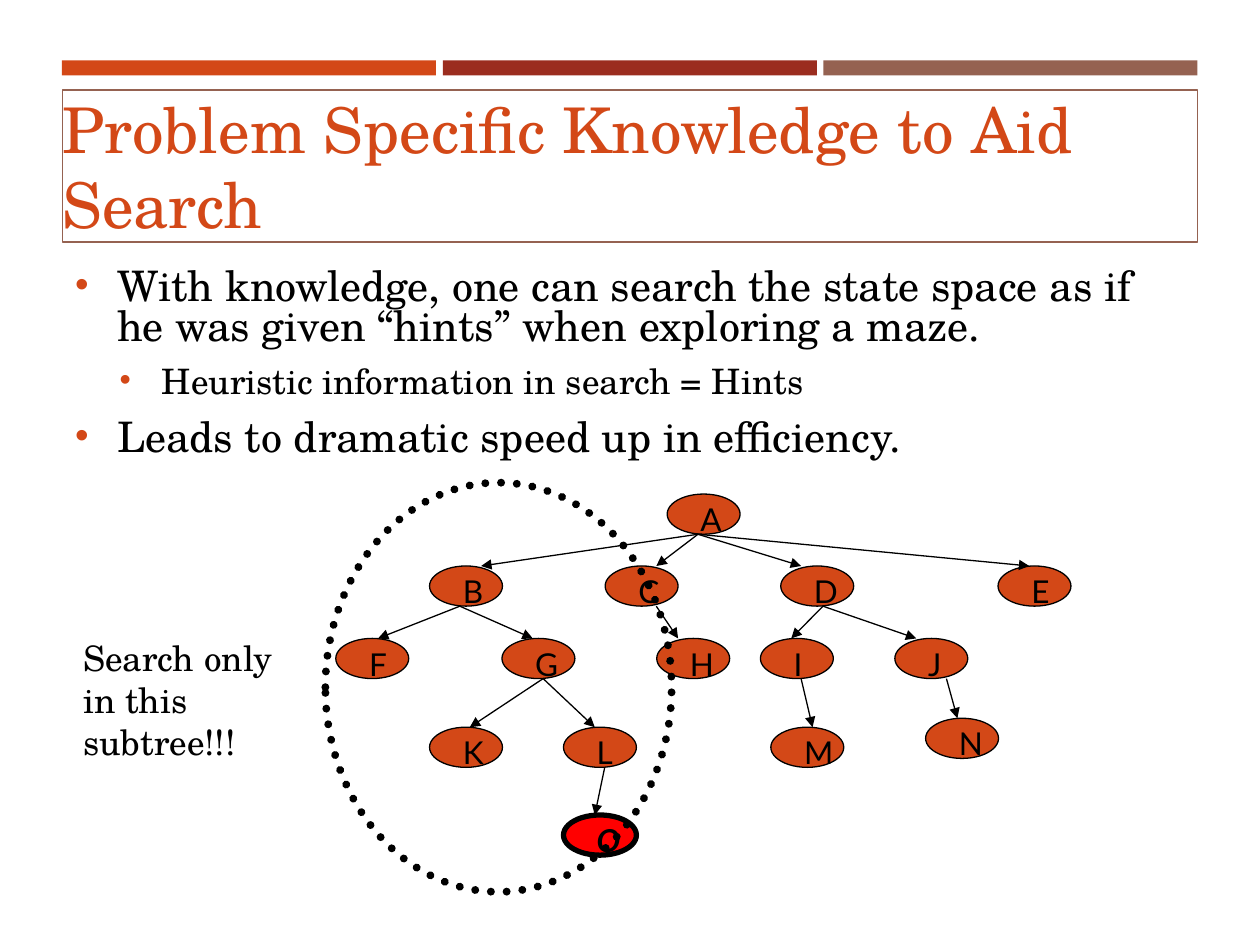
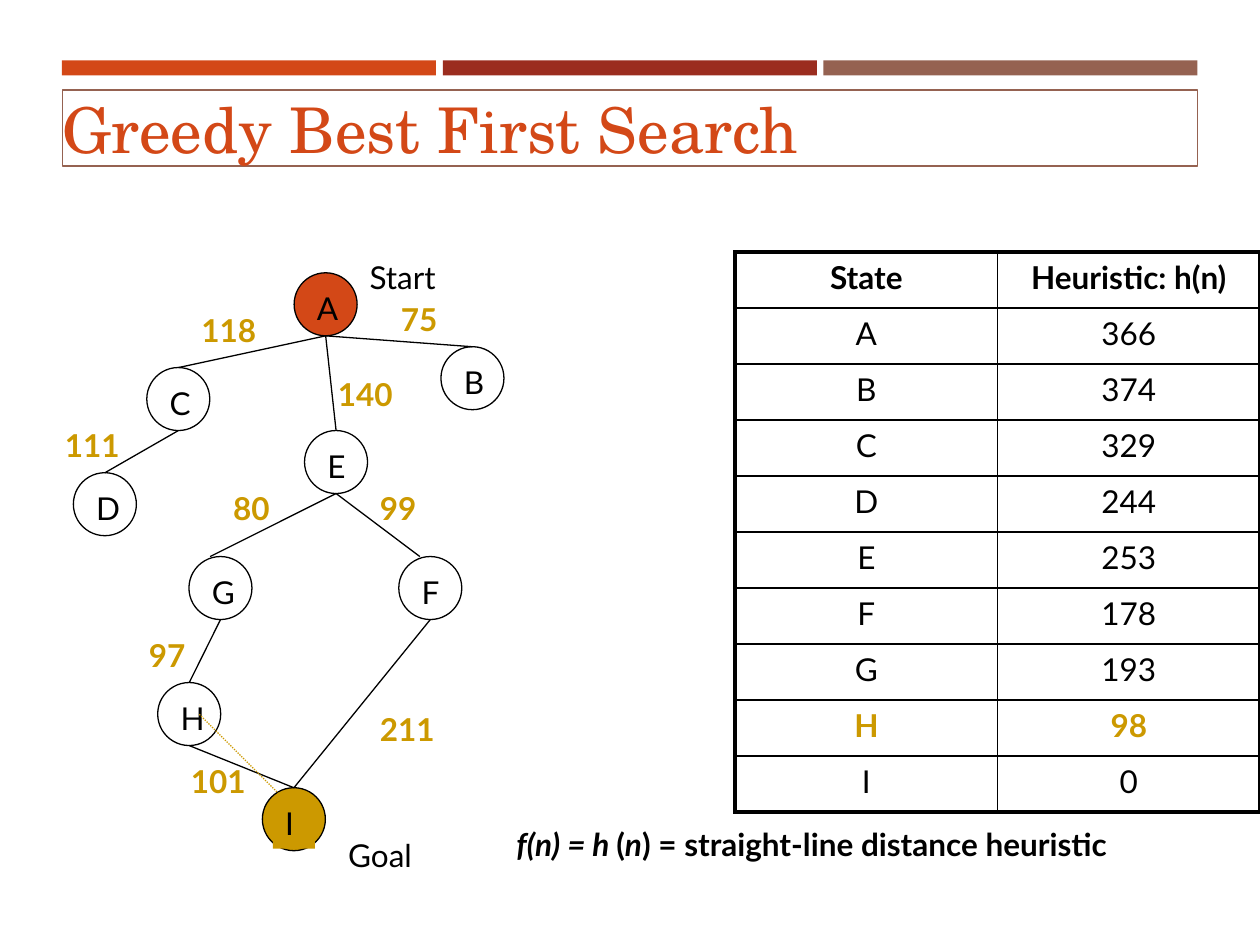
from dataclasses import dataclass

from lxml.etree import SubElement
from pptx import Presentation
from pptx.dml.color import RGBColor
from pptx.enum.dml import MSO_LINE
from pptx.enum.shapes import MSO_CONNECTOR, MSO_SHAPE as Preset
from pptx.enum.text import MSO_ANCHOR as Anchor, MSO_AUTO_SIZE as AutoSize, PP_ALIGN as Align
from pptx.oxml.ns import qn
from pptx.util import Cm, Pt


@dataclass(frozen=True)
class Theme:
    orange: str = "D34817"
    brick: str = "9B2D1F"
    brown: str = "956251"
    gold: str = "CC9900"
    red: str = "FF0000"
    black: str = "000000"
    serif: str = "TeX Gyre Schola"
    sans: str = "Lato"
    title: int = 36
    body: int = 24
    detail: int = 20
    label: int = 18
    thin: float = 0.75
    frame: float = 1
    heavy: float = 2.25
    goal: float = 3
    dots: float = 4.5


THEME = Theme()

# Content: all positions are in centimetres
BANDS = [(1.25, THEME.orange), (8.93, THEME.brick), (16.6, THEME.brown)]

HINTS_TITLE = "Problem Specific Knowledge to Aid Search"
HINTS = [
    (0, "With knowledge, one can search the state space as if he was given “hints” "
        "when exploring a maze."),
    (1, "Heuristic information in search = Hints"),
    (0, "Leads to dramatic speed up in efficiency."),
]
TREE_LEVELS = [  # top of the level, then the left edge of each node
    (9.96, {"A": 13.45}),
    (11.41, {"B": 8.66, "C": 12.2, "D": 15.74, "E": 20.12}),
    (12.87, {"F": 6.77, "G": 10.12, "H": 13.24, "I": 15.33, "J": 18.04}),
    (14.48, {"N": 18.66}),
    (14.66, {"K": 8.66, "L": 11.36, "M": 15.54}),
    (16.43, {"O": 11.36}),
]
TREE_ARROWS = [  # parent, x where its arrows start, x where each one ends
    ("A", 14.07, {"B": 9.7, "C": 13.23, "D": 16.15, "E": 20.75}),
    ("B", 9.27, {"F": 7.62, "G": 10.74}),
    ("C", 13.23, {"H": 13.67}),
    ("D", 16.59, {"I": 15.95, "J": 18.47}),
    ("G", 10.95, {"K": 9.47, "L": 11.99}),
    ("I", 16.15, {"M": 16.38}),
    ("J", 19.08, {"N": 19.3}),
    ("L", 12.19, {"O": 11.99}),
]
SUBTREE_NOTE = "Search only in this subtree!!!"

GREEDY_TITLE = "Greedy Best First Search"
CITIES = {
    "A": (5.93, 5.5), "B": (8.89, 6.99), "C": (2.96, 7.41),
    "D": (1.48, 9.53), "E": (6.14, 8.68), "F": (8.04, 11.22),
    "G": (3.81, 11.22), "H": (3.18, 13.76), "I": (5.29, 15.88),
}
CITY_FILLS = {"A": THEME.orange, "I": THEME.gold}
ROADS = [  # from, to, shift of the end from the top centre
    ("A", "B", 0), ("A", "C", 0), ("A", "E", 0), ("C", "D", 0),
    ("E", "F", -0.21), ("E", "G", -0.21), ("G", "H", 0), ("F", "I", 0), ("H", "I", 0),
]
COSTS = [
    ("75", 7.83, 5.93), ("118", 3.81, 6.14), ("140", 6.56, 7.44),
    ("111", 1.06, 8.47), ("80", 4.45, 9.74), ("99", 7.41, 9.74),
    ("97", 2.75, 12.7), ("211", 7.41, 14.18), ("101", 3.6, 15.24),
]
ENDS = [("Start", 7.2, 5.08), ("Goal", 6.77, 16.72)]
FORMULA = [("f(n) = h ", True), ("(", False), ("n", True),
           (") = straight-line distance heuristic", False)]
HEURISTIC = [
    ("State", "Heuristic: h(n)"),
    ("A", "366"), ("B", "374"), ("C", "329"), ("D", "244"), ("E", "253"),
    ("F", "178"), ("G", "193"), ("H", "98"), ("I", "0"),
]


# Helpers
def rgb(color):
    return RGBColor.from_string(color)


def style(font, size, face=THEME.sans, color=THEME.black, bold=False, italic=False):
    font.name, font.size, font.bold, font.italic = face, Pt(size), bold, italic
    font.color.rgb = rgb(color)


def place(shape, left, top, width, height):
    shape.left, shape.top, shape.width, shape.height = map(Cm, (left, top, width, height))


def add_preset(page, preset, area, fill=None, line=None, weight=THEME.thin):
    shape = page.shapes.add_shape(preset, *map(Cm, area))
    shape.shadow.inherit = False
    if fill:
        shape.fill.solid()
        shape.fill.fore_color.rgb = rgb(fill)
    else:
        shape.fill.background()
    if line:
        shape.line.color.rgb = rgb(line)
        shape.line.width = Pt(weight)
    else:
        shape.line.fill.background()
    return shape


def add_label(page, text, area, size=THEME.label, fill=None, **look):
    box = page.shapes.add_textbox(*map(Cm, area))
    box.text_frame.word_wrap = True
    if fill:
        box.fill.solid()
        box.fill.fore_color.rgb = rgb(fill)
    para = box.text_frame.paragraphs[0]
    para.text = text
    style(para.font, size, **look)
    return para


def add_link(page, start, end, color=THEME.black, arrow=False, dash=None):
    points = map(Cm, (*start, *end))
    link = page.shapes.add_connector(MSO_CONNECTOR.STRAIGHT, *points)
    link.line.color.rgb = rgb(color)
    link.line.width = Pt(THEME.thin)
    if dash:
        link.line.dash_style = dash
    properties = link.element.spPr
    if arrow:
        SubElement(properties.find(qn("a:ln")), qn("a:tailEnd"), type="triangle")
    SubElement(properties, qn("a:effectLst"))


def start_page(deck, layout, title, title_height):
    page = deck.slides.add_slide(deck.slide_layouts[layout])
    for left, color in BANDS:
        add_preset(page, Preset.RECTANGLE, (left, 1.22, 7.54, 0.3), color)
    heading = page.shapes.title
    place(heading, 1.26, 1.81, 22.88, title_height)
    heading.line.color.rgb = rgb(THEME.brown)
    heading.line.width = Pt(THEME.frame)
    frame = heading.text_frame
    frame.text = title
    frame.auto_size = AutoSize.NONE
    frame.vertical_anchor = Anchor.MIDDLE
    frame.margin_left = frame.margin_right = frame.margin_top = frame.margin_bottom = 0
    para = frame.paragraphs[0]
    para.alignment = Align.LEFT
    style(para.font, THEME.title, THEME.serif, THEME.orange)
    return page


def add_bullet(para, level):
    properties = para._p.get_or_add_pPr()
    properties.set("marL", str(Cm(0.85 + 0.9 * level)))
    properties.set("indent", str(Cm(-0.85)))
    color = SubElement(properties, qn("a:buClr"))
    SubElement(color, qn("a:srgbClr"), val=THEME.orange)
    SubElement(properties, qn("a:buSzPct"), val="92000")
    SubElement(properties, qn("a:buFont"), typeface="Arial")
    SubElement(properties, qn("a:buChar"), char="•")


def set_borders(cell, weights):
    properties = cell._tc.get_or_add_tcPr()
    for side, weight in weights.items():
        border = SubElement(properties, qn(f"a:ln{side}"), w=str(Pt(weight)))
        fill = SubElement(border, qn("a:solidFill"))
        SubElement(fill, qn("a:srgbClr"), val=THEME.black)


# Slide 1: hints and the search tree
def fill_hints(page):
    body = page.placeholders[1]
    place(body, 1.26, 5.18, 22.88, 4.34)
    frame = body.text_frame
    frame.auto_size = AutoSize.NONE
    frame.vertical_anchor = Anchor.MIDDLE
    for index, (level, text) in enumerate(HINTS):
        para = frame.add_paragraph() if index else frame.paragraphs[0]
        para.text, para.level = text, level
        size = THEME.detail if level else THEME.body
        style(para.font, size, THEME.serif)
        para.line_spacing = 0.8
        para.space_before, para.space_after = Pt(size * 0.2), Pt(6)
        add_bullet(para, level)


def draw_tree(page):
    width, height = 1.47, 0.81
    tops = {}
    for top, nodes in TREE_LEVELS:
        for name, left in nodes.items():
            goal = name == "O"
            tops[name] = top
            add_preset(page, Preset.OVAL, (left, top, width, height),
                       THEME.red if goal else THEME.orange, THEME.black,
                       THEME.goal if goal else THEME.thin)
            add_label(page, name, (left + 0.42, top, 1.04, 1.02), bold=goal, italic=goal)
    for parent, start_x, children in TREE_ARROWS:
        for child, end_x in children.items():
            add_link(page, (start_x, tops[parent] + height), (end_x, tops[child]), arrow=True)
    subtree = add_preset(page, Preset.OVAL, (6.56, 9.73, 6.98, 8.25),
                         line=THEME.black, weight=THEME.dots)
    subtree.line.dash_style = MSO_LINE.ROUND_DOT
    subtree.element.spPr.find(qn("a:ln")).set("cap", "rnd")
    add_label(page, SUBTREE_NOTE, (1.43, 12.7, 5.08, 1.95), THEME.detail, face=THEME.serif)


# Slide 2: weighted graph and the heuristic table
def draw_graph(page):
    size = 1.27
    for name, (left, top) in CITIES.items():
        add_preset(page, Preset.OVAL, (left, top, size, size), CITY_FILLS.get(name), THEME.black)
        add_label(page, name, (left + 0.21, top + 0.21, 0.85, 1.02),
                  fill=THEME.gold if name == "I" else None)
    for origin, target, shift in ROADS:
        (left, top), (end_left, end_top) = CITIES[origin], CITIES[target]
        add_link(page, (left + size / 2, top + size), (end_left + size / 2 + shift, end_top))
    for text, left, top in COSTS:
        add_label(page, text, (left, top, 2.1, 1.02), color=THEME.gold, bold=True)
    for text, left, top in ENDS:
        add_label(page, text, (left, top, 3.39, 1.02))
    add_link(page, (4.02, 14.4), (5.93, 16.31), THEME.gold, arrow=True, dash=MSO_LINE.ROUND_DOT)
    para = add_label(page, "", (10.16, 16.51, 15.24, 1.02), bold=True)
    for text, italic in FORMULA:
        span = para.add_run()
        span.text = text
        span.font.italic = italic


def add_heuristic_table(page):
    count = len(HEURISTIC)
    area = map(Cm, (14.82, 5.08, 10.58, 1.13 * count))
    table = page.shapes.add_table(count, 2, *area).table
    table.first_row = table.horz_banding = False
    for r, row in enumerate(HEURISTIC):
        table.rows[r].height = Cm(1.13)
        for c, text in enumerate(row):
            cell = table.cell(r, c)
            outer = {"L": c == 0, "R": c == 1, "T": r == 0, "B": r == count - 1}
            set_borders(cell, {side: THEME.heavy if edge else THEME.frame
                               for side, edge in outer.items()})
            cell.fill.background()
            cell.text = text
            para = cell.text_frame.paragraphs[0]
            para.alignment = Align.CENTER
            chosen = row[0] == "H"
            style(para.font, THEME.label, color=THEME.gold if chosen else THEME.black,
                  bold=chosen or r == 0)


def main():
    deck = Presentation()
    deck.slide_width, deck.slide_height = Cm(25.4), Cm(19.05)

    hints_page = start_page(deck, 1, HINTS_TITLE, 3.07)
    fill_hints(hints_page)
    draw_tree(hints_page)

    greedy_page = start_page(deck, 5, GREEDY_TITLE, 1.54)
    add_heuristic_table(greedy_page)
    draw_graph(greedy_page)

    deck.save("out.pptx")


if __name__ == "__main__":
    main()
